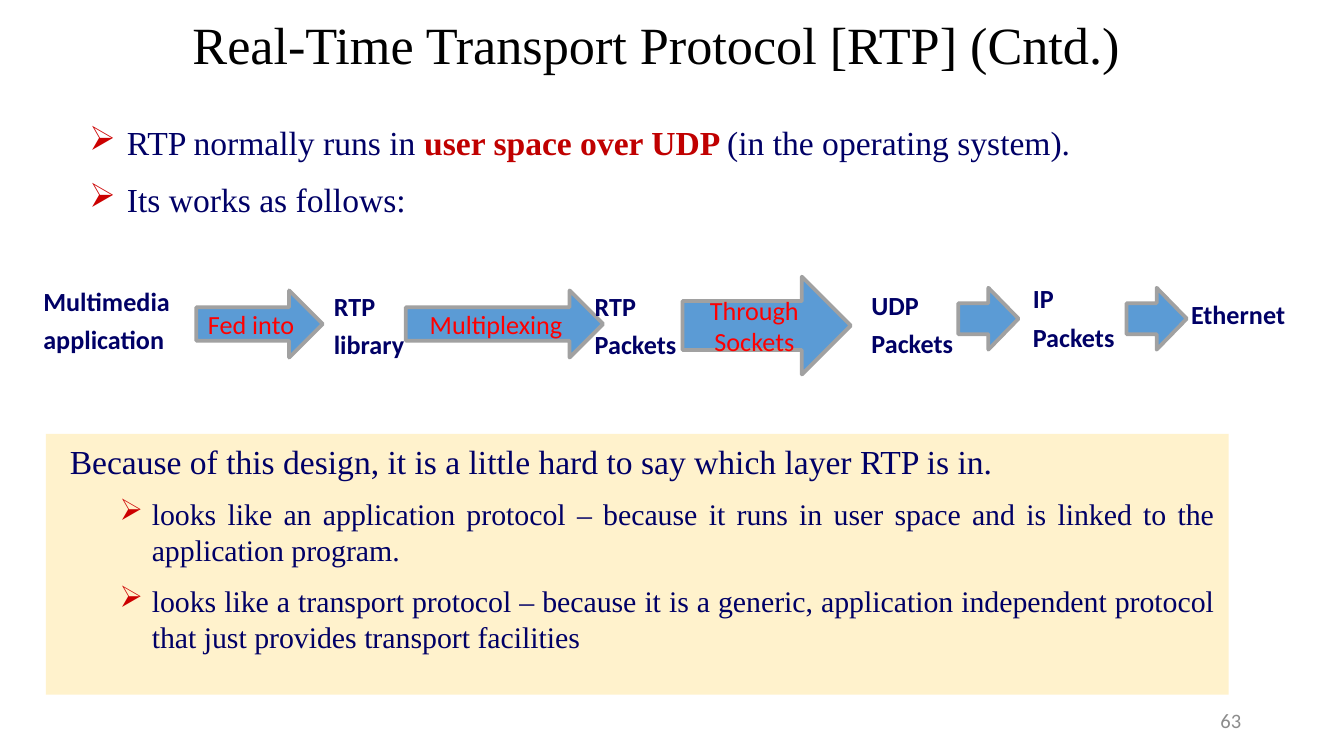
from lxml import etree
from pptx import Presentation
from pptx.dml.color import RGBColor
from pptx.enum.shapes import MSO_SHAPE
from pptx.enum.text import MSO_ANCHOR, PP_ALIGN
from pptx.oxml.ns import qn
from pptx.util import Cm, Pt

NAVY = RGBColor(0x00, 0x00, 0x66)
CRIMSON = RGBColor(0xC0, 0x00, 0x00)
RED = RGBColor(0xFF, 0x00, 0x00)
BLACK = RGBColor(0x00, 0x00, 0x00)
GRAY = RGBColor(0x8C, 0x8C, 0x8C)
BLUE = RGBColor(0x5B, 0x9B, 0xD5)
OUTLINE = RGBColor(0xA1, 0xA1, 0xA1)
CREAM = RGBColor(0xFF, 0xF2, 0xCC)
BULLET_RED = RGBColor(0xCC, 0x00, 0x00)

SERIF = "Times New Roman"
SANS = "Calibri"
BULLET_FONT = "Wingdings"
ARROWHEAD = "Ø"
LEFT, CENTER, RIGHT, JUSTIFY = PP_ALIGN.LEFT, PP_ALIGN.CENTER, PP_ALIGN.RIGHT, PP_ALIGN.JUSTIFY
TOP, MIDDLE = MSO_ANCHOR.TOP, MSO_ANCHOR.MIDDLE
RIGHT_ARROW, RECTANGLE = MSO_SHAPE.RIGHT_ARROW, MSO_SHAPE.RECTANGLE


def write_lines(box, lines, font, size, color, align, anchor=TOP, bold=False):
    frame = box.text_frame
    frame.word_wrap = True
    frame.vertical_anchor = anchor
    frame.margin_left = frame.margin_right = Cm(0.19)
    frame.margin_top = frame.margin_bottom = Cm(0.1)
    frame.text = "\n".join(lines)
    for para in frame.paragraphs:
        para.alignment = align
        for span in para.runs:
            span.font.name = font
            span.font.size = Pt(size)
            span.font.color.rgb = color
            span.font.bold = bold
    return frame


def indent(para, margin, hanging=0, bullet=None):
    properties = para._p.get_or_add_pPr()
    properties.set("marL", str(Cm(margin)))
    properties.set("indent", str(-Cm(hanging)))
    if bullet:
        bullet_color = etree.SubElement(properties, qn("a:buClr"))
        etree.SubElement(bullet_color, qn("a:srgbClr"), val=str(BULLET_RED))
        etree.SubElement(properties, qn("a:buFont"), typeface=BULLET_FONT,
                         pitchFamily="2", charset="2")
        etree.SubElement(properties, qn("a:buChar"), char=bullet)


deck = Presentation()
deck.slide_width = Cm(25.4)
deck.slide_height = Cm(14.29)
page = deck.slides.add_slide(deck.slide_layouts[6])
shapes = page.shapes

number = shapes.add_textbox(Cm(17.93), Cm(13.23), Cm(5.72), Cm(0.76))
write_lines(number, ["63"], SANS, 11, GRAY, RIGHT, MIDDLE)

title = shapes.add_textbox(Cm(1.6), Cm(0.33), Cm(21.6), Cm(1.14))
frame = write_lines(title, ["Real-Time Transport Protocol [RTP] (Cntd.)"],
                    SERIF, 28, BLACK, CENTER, MIDDLE)
frame.paragraphs[0].line_spacing = 0.9

intro = shapes.add_textbox(Cm(1.3), Cm(2.21), Cm(22.3), Cm(2.31))
frame = write_lines(intro, ["RTP normally runs in ", "Its works as follows:"],
                    SERIF, 18, NAVY, JUSTIFY)
for para in frame.paragraphs:
    indent(para, 0.91, 0.71, ARROWHEAD)
first, second = frame.paragraphs
second.space_before = Pt(9)
for text, color, bold in [("user space over UDP ", CRIMSON, True),
                          ("(in the operating system).", NAVY, False)]:
    span = first.add_run()
    span.text = text
    span.font.name = SERIF
    span.font.size = Pt(18)
    span.font.color.rgb = color
    span.font.bold = bold

arrows = [
    ("Fed into", 3.71, 5.49, 2.39, 1.27),
    ("Multiplexing", 7.67, 5.49, 3.73, 1.27),
    ("Through Sockets", 12.9, 5.23, 3.18, 1.85),
    ("", 18.11, 5.44, 1.14, 1.17),
    ("", 21.29, 5.44, 1.14, 1.17),
]
for text, left, top, width, height in arrows:
    arrow = shapes.add_shape(RIGHT_ARROW, Cm(left), Cm(top), Cm(width), Cm(height))
    arrow.shadow.inherit = False
    arrow.fill.solid()
    arrow.fill.fore_color.rgb = BLUE
    arrow.line.color.rgb = OUTLINE
    arrow.line.width = Pt(2)
    if text:
        write_lines(arrow, [text], SANS, 14, RED, CENTER, MIDDLE)

stages = [
    (["Multimedia", "application"], 0.43, 5.41, 3.48),
    (["RTP", "library"], 5.92, 5.51, 2.21),
    (["RTP", "Packets"], 10.85, 5.51, 2.24),
    (["UDP", "Packets"], 16.08, 5.49, 2.24),
    (["IP", "Packets"], 19.13, 5.36, 2.24),
    (["Ethernet"], 22.12, 5.66, 2.39),
]
for lines, left, top, width in stages:
    stage = shapes.add_textbox(Cm(left), Cm(top), Cm(width), Cm(0.7 * len(lines)))
    frame = write_lines(stage, lines, SANS, 14, NAVY, LEFT, bold=True)
    for position, para in enumerate(frame.paragraphs):
        indent(para, 0.2)
        para.line_spacing = 0.8
        if position:
            para.space_before = Pt(7)

panel = shapes.add_shape(RECTANGLE, Cm(0.87), Cm(8.2), Cm(22.35), Cm(4.93))
panel.shadow.inherit = False
panel.fill.solid()
panel.fill.fore_color.rgb = CREAM
panel.line.fill.background()
frame = write_lines(panel, [
    "Because of this design, it is a little hard to say which layer RTP is in.",
    "looks like an application protocol – because it runs in user space and is linked to the application program.",
    "looks like a transport protocol – because it is a generic, application independent protocol that just provides transport facilities",
], SERIF, 16, NAVY, JUSTIFY)
frame.margin_left = frame.margin_right = Cm(0.25)
frame.margin_top = frame.margin_bottom = Cm(0.13)
heading, *points = frame.paragraphs
indent(heading, 0.2)
heading.runs[0].font.size = Pt(18)
for para in points:
    para.level = 1
    indent(para, 1.75, 0.61, ARROWHEAD)
    para.space_before = Pt(8)

deck.save("out.pptx")
